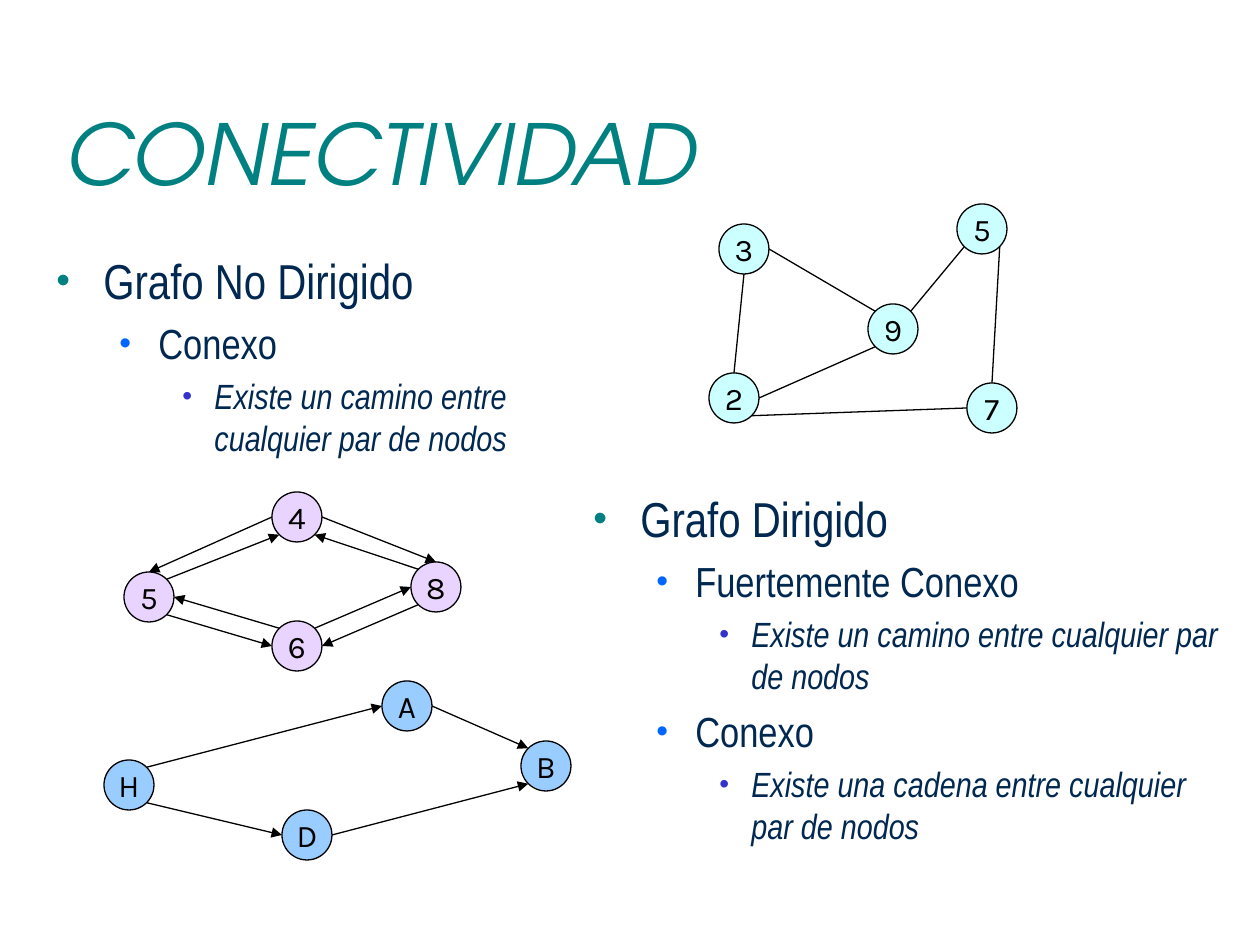
from pptx import Presentation
from pptx.dml.color import RGBColor
from pptx.enum.shapes import MSO_CONNECTOR, MSO_SHAPE
from pptx.enum.text import MSO_ANCHOR, PP_ALIGN
from pptx.oxml.ns import qn
from pptx.util import Emu, Inches, Pt
from lxml.etree import SubElement

PX = 914400 / 126
NODE = 50

BLACK = RGBColor(0x00, 0x00, 0x00)
TEAL = RGBColor(0x00, 0x80, 0x80)
NAVY = RGBColor(0x00, 0x28, 0x50)
CYAN = RGBColor(0xCC, 0xFF, 0xFF)
LILAC = RGBColor(0xE9, 0xD3, 0xFF)
SKY = RGBColor(0x99, 0xCC, 0xFF)
BLUE = RGBColor(0x00, 0x66, 0xFF)
INDIGO = RGBColor(0x33, 0x33, 0xCC)

# Text size, italic, bullet colour, left margin and hanging indent by level
LEVELS = [
    (28, False, TEAL, 47, 47),
    (24, False, BLUE, 102, 39),
    (20, True, INDIGO, 158, 32),
]

# Unit directions from a node's centre to its eight connection sites
D = 0.71
SITES = {
    "T": (0, -1), "TR": (D, -D), "R": (1, 0), "BR": (D, D),
    "B": (0, 1), "BL": (-D, D), "L": (-1, 0), "TL": (-D, -D),
}


def px(n):
    return Emu(round(n * PX))


class SlideBuilder:
    title_font = "TeX Gyre Adventor"
    body_font = "Arial Narrow"
    node_font = "Karla"

    def __init__(self, slide):
        self.s = slide

    def run(self, p, text, font, size, color, italic=False):
        r = p.add_run()
        r.text = text
        r.font.name = font
        r.font.size = Pt(size)
        r.font.italic = italic
        r.font.color.rgb = color

    def box(self, x, y, w, h):
        tf = self.s.shapes.add_textbox(px(x), px(y), px(w), px(h)).text_frame
        tf.word_wrap = True
        return tf

    def title(self, text, x, y, w, h):
        tf = self.box(x, y, w, h)
        tf.vertical_anchor = MSO_ANCHOR.MIDDLE
        self.run(tf.paragraphs[0], text, self.title_font, 48, TEAL, True)

    def bullets(self, items, x, y, w, h):
        tf = self.box(x, y, w, h)
        for i, (level, text) in enumerate(items):
            p = tf.add_paragraph() if i else tf.paragraphs[0]
            size, italic, color, margin, indent = LEVELS[level]
            p.level = level
            pPr = p._p.get_or_add_pPr()
            pPr.set("marL", str(px(margin)))
            pPr.set("indent", str(px(-indent)))
            before = SubElement(pPr, qn("a:spcBef"))
            SubElement(before, qn("a:spcPct"), val="20000")
            bullet = SubElement(pPr, qn("a:buClr"))
            SubElement(bullet, qn("a:srgbClr"), val=str(color))
            SubElement(pPr, qn("a:buSzPct"), val="80000")
            SubElement(pPr, qn("a:buFont"), typeface="Arial")
            SubElement(pPr, qn("a:buChar"), char="•")
            self.run(p, text, self.body_font, size, NAVY, italic)

    def node(self, group, label, center, fill):
        x, y = center
        sp = group.shapes.add_shape(
            MSO_SHAPE.OVAL, px(x - NODE / 2), px(y - NODE / 2), px(NODE), px(NODE))
        sp.shadow.inherit = False
        sp.fill.solid()
        sp.fill.fore_color.rgb = fill
        sp.line.color.rgb = BLACK
        sp.line.width = Pt(0.75)
        tf = sp.text_frame
        tf.word_wrap = False
        tf.vertical_anchor = MSO_ANCHOR.MIDDLE
        p = tf.paragraphs[0]
        p.alignment = PP_ALIGN.CENTER
        self.run(p, label, self.node_font, 18, BLACK)

    def edge(self, group, start, end, arrow):
        c = group.shapes.add_connector(
            MSO_CONNECTOR.STRAIGHT, *(px(n) for n in start + end))
        c.line.color.rgb = BLACK
        c.line.width = Pt(0.75)
        spPr = c._element.spPr
        if arrow:
            SubElement(spPr.find(qn("a:ln")), qn("a:tailEnd"), type="triangle")
        SubElement(spPr, qn("a:effectLst"))

    def graph(self, nodes, edges, fill, arrow):
        group = self.s.shapes.add_group_shape()
        for label, center in nodes.items():
            self.node(group, label, center, fill)

        def site(label, side):
            return tuple(c + d * NODE / 2 for c, d in zip(nodes[label], SITES[side]))

        for a, side_a, b, side_b in edges:
            self.edge(group, site(a, side_a), site(b, side_b), arrow)


def main():
    prs = Presentation()
    prs.slide_width, prs.slide_height = Inches(10), Inches(7.5)
    b = SlideBuilder(prs.slides.add_slide(prs.slide_layouts[6]))

    # Title and text
    b.title("CONECTIVIDAD", 53, 73, 1134, 158)
    b.bullets([
        (0, "Grafo No Dirigido"),
        (1, "Conexo"),
        (2, "Existe un camino entre cualquier par de nodos"),
    ], 44, 244, 586, 228)
    b.bullets([
        (0, "Grafo Dirigido"),
        (1, "Fuertemente Conexo"),
        (2, "Existe un camino entre cualquier par de nodos"),
        (1, "Conexo"),
        (2, "Existe una cadena entre cualquier par de nodos"),
    ], 581, 482, 665, 377)

    # Undirected connected graph
    b.graph(
        {"3": (744, 249), "9": (893, 329), "5": (982, 229),
         "7": (992, 408), "2": (734, 398)},
        [("3", "B", "2", "T"), ("3", "R", "9", "TL"), ("2", "R", "9", "BL"),
         ("9", "TR", "5", "BL"), ("2", "BR", "7", "L"), ("7", "T", "5", "BR")],
        CYAN, False)

    # Strongly connected directed graph
    b.graph(
        {"4": (297, 517), "5": (149, 597), "6": (297, 646), "8": (436, 587)},
        [("4", "L", "5", "T"), ("5", "BR", "6", "L"), ("8", "BL", "6", "R"),
         ("4", "R", "8", "T"), ("5", "TR", "4", "BL"), ("8", "TL", "4", "BR"),
         ("6", "TL", "5", "R"), ("6", "TR", "8", "L")],
        LILAC, True)

    # Connected directed graph
    b.graph(
        {"H": (129, 785), "A": (407, 706), "B": (546, 766), "D": (307, 835)},
        [("H", "TR", "A", "L"), ("A", "R", "B", "TL"),
         ("H", "BR", "D", "L"), ("D", "R", "B", "BL")],
        SKY, True)

    prs.save("out.pptx")


if __name__ == "__main__":
    main()
